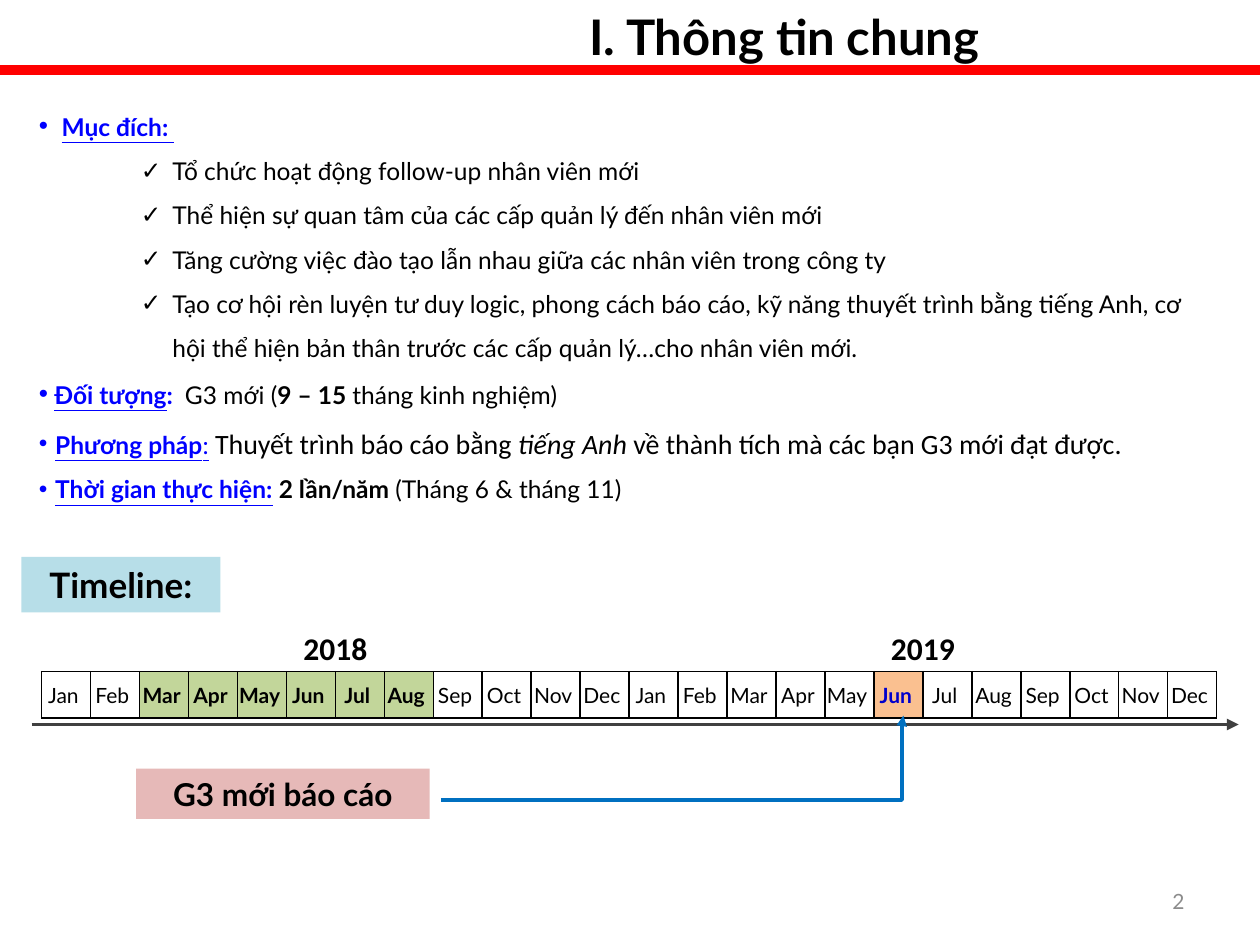
from lxml.etree import SubElement
from pptx import Presentation
from pptx.dml.color import RGBColor
from pptx.enum.shapes import MSO_CONNECTOR, MSO_SHAPE
from pptx.enum.text import MSO_ANCHOR, PP_ALIGN
from pptx.oxml.ns import qn
from pptx.util import Inches, Pt

BLACK = RGBColor(0, 0, 0)
RED = RGBColor(0xFF, 0, 0)
BLUE = RGBColor(0, 0, 0xFF)
DARK_BLUE = RGBColor(0, 0, 0xCC)
LINE_BLUE = RGBColor(0, 0x70, 0xC0)
GRAY = RGBColor(0x8C, 0x8C, 0x8C)
AXIS_GRAY = RGBColor(0x40, 0x40, 0x40)
GREEN = RGBColor(0xC2, 0xD6, 0x9A)
ORANGE = RGBColor(0xFA, 0xC0, 0x90)
PINK = RGBColor(0xE6, 0xB9, 0xB8)
AQUA = RGBColor(0xB7, 0xDE, 0xE8)

MONTHS = "Jan Feb Mar Apr May Jun Jul Aug Sep Oct Nov Dec".split()
YEARS = ["2018", "2019"]
GREEN_MONTHS = range(2, 8)
REPORT_MONTH = 17

PURPOSES = [
    "Tổ chức hoạt động follow-up nhân viên mới",
    "Thể hiện sự quan tâm của các cấp quản lý đến nhân viên mới",
    "Tăng cường việc đào tạo lẫn nhau giữa các nhân viên trong công ty",
    "Tạo cơ hội rèn luyện tư duy logic, phong cách báo cáo, kỹ năng thuyết trình "
    "bằng tiếng Anh, cơ hội thể hiện bản thân trước các cấp quản lý…cho nhân viên mới.",
]

# Run styles
HEAD = dict(color=BLUE, bold=True, underline=True)
HEAD_PLAIN = dict(color=BLUE, bold=True)
LEAD = dict(color=BLUE, bold=True, size=15)
METHOD = dict(size=16, font="Calibri")

# Each paragraph: bullet, left margin, hanging indent, runs
BODY = [
    ("•", 0.13, -0.13, [(" ", LEAD), ("Mục đích: ", HEAD)]),
    *[("✓", 1.06, -0.25, [(purpose, {})]) for purpose in PURPOSES],
    ("•", 0, 0, [(" ", LEAD), ("Đối tượng", HEAD), (":  ", HEAD_PLAIN),
                 ("G3 mới (", {}), ("9 – 15 ", dict(bold=True)),
                 ("tháng kinh nghiệm)", {})]),
    ("•", 0.13, -0.13, [("Phương pháp", HEAD),
                        (":", dict(color=BLUE, underline=True)),
                        (" ", dict(color=BLUE)),
                        ("Thuyết trình báo cáo bằng ", METHOD),
                        ("tiếng Anh ", dict(METHOD, italic=True)),
                        ("về thành tích mà các bạn G3 mới đạt được.", METHOD)]),
    ("•", 0.13, -0.13, [("Thời gian thực hiện:", HEAD), (" ", HEAD_PLAIN),
                        ("2 lần/năm ", dict(bold=True)),
                        ("(Tháng 6 & tháng 11)", {})]),
]


def add_run(para, text, size=14, font="Lato", color=BLACK,
            bold=False, italic=False, underline=False):
    span = para.add_run()
    span.text = text
    span.font.size = Pt(size)
    span.font.name = font
    span.font.color.rgb = color
    span.font.bold = bold
    span.font.italic = italic
    span.font.underline = underline


def add_text(page, left, top, width, height):
    box = page.shapes.add_textbox(Inches(left), Inches(top), Inches(width), Inches(height))
    box.text_frame.word_wrap = True
    return box.text_frame


def set_bullet(para, symbol, margin, indent):
    props = para._p.get_or_add_pPr()
    props.set("marL", str(Inches(margin)))
    props.set("indent", str(Inches(indent)))
    SubElement(props, qn("a:buFont"), typeface="Arial")
    SubElement(props, qn("a:buChar"), char=symbol)


def add_body(page):
    frame = add_text(page, 0.21, 0.7, 9.56, 3.38)
    for index, (symbol, margin, indent, runs) in enumerate(BODY):
        para = frame.add_paragraph() if index else frame.paragraphs[0]
        para.line_spacing = 1.5
        set_bullet(para, symbol, margin, indent)
        for text, style in runs:
            add_run(para, text, **style)


def add_bar(page, left, top, width, height, color):
    bar = page.shapes.add_shape(MSO_SHAPE.RECTANGLE, Inches(left), Inches(top),
                                Inches(width), Inches(height))
    bar.shadow.inherit = False
    bar.fill.solid()
    bar.fill.fore_color.rgb = color
    bar.line.fill.background()
    return bar


def add_label(page, left, top, width, height, color, text, size):
    label = add_bar(page, left, top, width, height, color)
    para = label.text_frame.paragraphs[0]
    para.alignment = PP_ALIGN.CENTER
    add_run(para, text, size=size, bold=True)


def add_arrow(page, kind, x1, y1, x2, y2, color, weight):
    arrow = page.shapes.add_connector(kind, Inches(x1), Inches(y1), Inches(x2), Inches(y2))
    arrow.line.color.rgb = color
    arrow.line.width = Pt(weight)
    SubElement(arrow.line._get_or_add_ln(), qn("a:tailEnd"), type="triangle")
    SubElement(arrow._element.spPr, qn("a:effectLst"))
    return arrow


def set_borders(cell, visible):
    props = cell._tc.get_or_add_tcPr()
    for side in ("L", "R", "T", "B"):
        line = SubElement(props, qn(f"a:ln{side}"), w=str(Pt(1)))
        if side in visible:
            fill = SubElement(line, qn("a:solidFill"))
            SubElement(fill, qn("a:srgbClr"), val=str(BLACK))
        else:
            SubElement(line, qn("a:noFill"))


def style_cell(cell, fill, borders):
    set_borders(cell, borders)
    cell.margin_left = cell.margin_right = cell.margin_top = cell.margin_bottom = 0
    cell.vertical_anchor = MSO_ANCHOR.MIDDLE
    if fill is None:
        cell.fill.background()
    else:
        cell.fill.solid()
        cell.fill.fore_color.rgb = fill


def fill_cell(cell, text, **style):
    para = cell.text_frame.paragraphs[0]
    para.alignment = PP_ALIGN.CENTER
    add_run(para, text, **style)


def add_calendar(page):
    count = len(MONTHS) * len(YEARS)
    table = page.shapes.add_table(2, count, Inches(0.33), Inches(4.99),
                                  Inches(9.33), Inches(0.71)).table
    table.first_row = table.horz_banding = False
    table.rows[0].height = Inches(0.34)
    table.rows[1].height = Inches(0.37)

    # Month row, with the open cells of the year row above it
    for index, month in enumerate(MONTHS * len(YEARS)):
        style_cell(table.cell(0, index), None, "B")
        color, bold, fill = BLACK, False, None
        if index in GREEN_MONTHS:
            bold, fill = True, GREEN
        elif index == REPORT_MONTH:
            color, bold, fill = DARK_BLUE, True, ORANGE
        cell = table.cell(1, index)
        style_cell(cell, fill, "LRTB")
        fill_cell(cell, month + " ", size=12, color=color, bold=bold)

    # Year headings
    for index, year in enumerate(YEARS):
        first = index * len(MONTHS)
        cell = table.cell(0, first)
        cell.merge(table.cell(0, first + len(MONTHS) - 1))
        fill_cell(cell, year, size=18, font="Calibri", bold=True)


def main():
    deck = Presentation()
    deck.slide_width, deck.slide_height = Inches(10), Inches(7.5)
    page = deck.slides.add_slide(deck.slide_layouts[6])

    # Header
    rule = add_bar(page, 0, 0.53, 10, 0.05, RED)
    rule.line.color.rgb = RED
    rule.line.width = Pt(2)
    add_body(page)
    title = add_text(page, 4.58, 0, 5.42, 0.57)
    add_run(title.paragraphs[0], "I. Thông tin chung", size=28, bold=True)

    # Page number
    number = add_text(page, 7.17, 6.95, 2.33, 0.4)
    number.vertical_anchor = MSO_ANCHOR.MIDDLE
    number.paragraphs[0].alignment = PP_ALIGN.RIGHT
    add_run(number.paragraphs[0], "2", size=12, color=GRAY)

    # Timeline
    add_calendar(page)
    add_arrow(page, MSO_CONNECTOR.STRAIGHT, 0.25, 5.75, 9.83, 5.75, AXIS_GRAY, 2.25)
    add_label(page, 1.08, 6.1, 2.33, 0.4, PINK, "G3 mới báo cáo", 18)
    pointer = add_arrow(page, MSO_CONNECTOR.ELBOW, 3.5, 6.35, 7.17, 5.68, LINE_BLUE, 2)
    bend = pointer._element.spPr.find(qn("a:prstGeom")).find(qn("a:avLst"))
    SubElement(bend, qn("a:gd"), name="adj1", fmla="val 99700")
    add_label(page, 0.17, 4.42, 1.58, 0.44, AQUA, "Timeline:", 20)

    deck.save("out.pptx")


if __name__ == "__main__":
    main()
